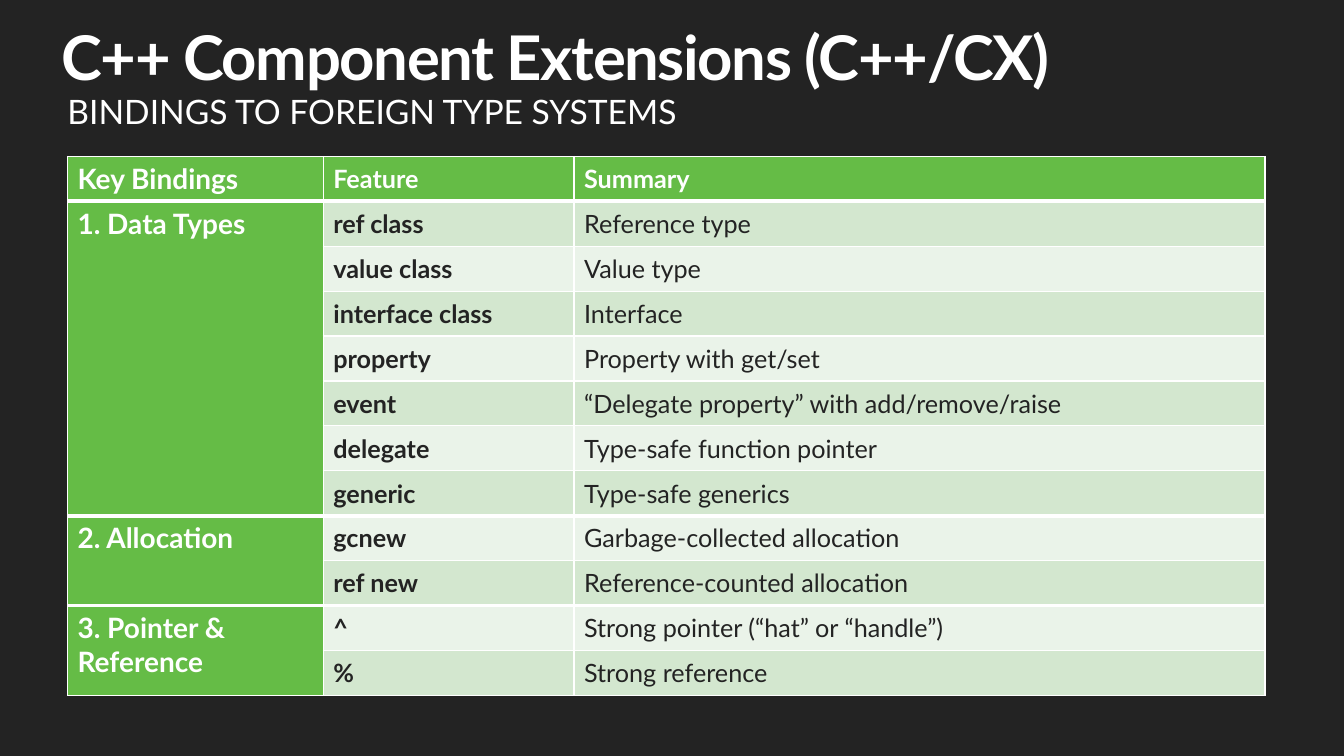
import dataclasses

import lxml.etree
import pptx
import pptx.dml.color
import pptx.enum.text
import pptx.oxml.ns
import pptx.util

Cm = pptx.util.Cm
Pt = pptx.util.Pt
ANCHOR = pptx.enum.text.MSO_ANCHOR


@dataclasses.dataclass(frozen=True)
class Theme:
    """Colours, font and type sizes of the slide."""
    font: str = "Lato"
    dark: str = "232323"
    white: str = "FFFFFF"
    green: str = "65BC46"
    bands: tuple = ("D3E7CF", "EAF3E9")
    title: int = 44
    subtitle: int = 24
    key: int = 20
    cell: int = 18
    thin: int = 1
    thick: int = 3


THEME = Theme()
HEADINGS = ("Key Bindings", "Feature", "Summary")
BINDINGS = {
    "1. Data Types": (
        ("ref class", "Reference type"),
        ("value class", "Value type"),
        ("interface class", "Interface"),
        ("property", "Property with get/set"),
        ("event", "“Delegate property” with add/remove/raise"),
        ("delegate", "Type-safe function pointer"),
        ("generic", "Type-safe generics"),
    ),
    "2. Allocation": (
        ("gcnew", "Garbage-collected allocation"),
        ("ref new", "Reference-counted allocation"),
    ),
    "3. Pointer & Reference": (
        ("^", "Strong pointer (“hat” or “handle”)"),
        ("%", "Strong reference"),
    ),
}
COLUMN_SHARES = (2.54, 2.49, 6.86)


def rgb(value):
    """Return the colour object for a hex value."""
    return pptx.dml.color.RGBColor.from_string(value)


def apply(target, values):
    """Set each attribute of the target from a dict."""
    for name, value in values.items():
        setattr(target, name, value)


def write(holder, text, size, color, bold):
    """Write one formatted run into a cell or placeholder and return it."""
    run = holder.text_frame.paragraphs[0].add_run()
    run.text = text
    apply(run.font, {"name": THEME.font, "size": Pt(size), "bold": bold})
    run.font.color.rgb = rgb(color)
    return run


def fill_heading(holder, box, text, size, bold, anchor):
    """Place a placeholder in its box with one unbulleted, left-aligned line."""
    apply(holder, dict(zip(("left", "top", "width", "height"), box)))
    apply(holder.text_frame, {
        "margin_left": 0, "margin_top": 0, "margin_right": 0, "margin_bottom": 0,
        "vertical_anchor": anchor, "word_wrap": True,
        "auto_size": pptx.enum.text.MSO_AUTO_SIZE.NONE,
    })
    run = write(holder, text, size, THEME.white, bold)
    paragraph = holder.text_frame.paragraphs[0]
    apply(paragraph, {"alignment": pptx.enum.text.PP_ALIGN.LEFT, "line_spacing": 0.9})
    properties = paragraph._p.get_or_add_pPr()
    properties.set("marL", "0")
    properties.set("indent", "0")
    lxml.etree.SubElement(properties, pptx.oxml.ns.qn("a:buNone"))
    return run


def add_headings(slide, left, top, width):
    """Place the title and the subtitle below it."""
    title, subtitle = slide.placeholders
    run = fill_heading(title, (left, top, width, Cm(1.7)),
                       "C++ Component Extensions (C++/CX)", THEME.title, True, ANCHOR.TOP)
    run._r.get_or_add_rPr().set("spc", "-100")
    fill_heading(subtitle, (left + Cm(0.15), top + Cm(1.78), width, Cm(0.84)),
                 "BINDINGS TO FOREIGN TYPE SYSTEMS", THEME.subtitle, False, ANCHOR.BOTTOM)


def style_cell(cell, fill, above, below, anchor=ANCHOR.MIDDLE):
    """Give a cell its white borders, fill and anchor."""
    properties = cell._tc.get_or_add_tcPr()
    weights = {"lnL": THEME.thin, "lnR": THEME.thin, "lnT": above, "lnB": below}
    for side, weight in weights.items():
        line = lxml.etree.SubElement(properties, pptx.oxml.ns.qn(f"a:{side}"), w=str(Pt(weight)))
        solid = lxml.etree.SubElement(line, pptx.oxml.ns.qn("a:solidFill"))
        lxml.etree.SubElement(solid, pptx.oxml.ns.qn("a:srgbClr"), val=THEME.white)
    cell.fill.solid()
    cell.fill.fore_color.rgb = rgb(fill)
    cell.vertical_anchor = anchor


def add_group(table, first, key, features):
    """Fill the rows of one key binding, starting at the given row."""
    last = first + len(features) - 1
    closing = THEME.thin if last == len(table.rows) - 1 else THEME.thick
    for row, (feature, summary) in enumerate(features, first):
        above = THEME.thick if row == first else THEME.thin
        below = closing if row == last else THEME.thin
        style_cell(table.cell(row, 0), THEME.green, above,
                   closing if row == first else below, ANCHOR.TOP)
        for column, text in enumerate((feature, summary), 1):
            cell = table.cell(row, column)
            style_cell(cell, THEME.bands[(row - 1) % 2], above, below)
            write(cell, text, THEME.cell, THEME.dark, column == 1)
    table.cell(first, 0).merge(table.cell(last, 0))
    write(table.cell(first, 0), key, THEME.key, THEME.white, True)
    return last + 1


def add_bindings_table(slide, left, top, width, height):
    """Place the table of key bindings in its box."""
    row_count = 1 + sum(map(len, BINDINGS.values()))
    table = slide.shapes.add_table(row_count, len(HEADINGS), left, top, width, height).table
    table.horz_banding = False
    for column, share in zip(table.columns, COLUMN_SHARES):
        column.width = int(width * share / sum(COLUMN_SHARES))
    for column, heading in enumerate(HEADINGS):
        cell = table.cell(0, column)
        style_cell(cell, THEME.green, THEME.thin, THEME.thick)
        write(cell, heading, THEME.cell if column else THEME.key, THEME.white, True)
    row = 1
    for key, features in BINDINGS.items():
        row = add_group(table, row, key, features)


def main():
    """Build the slide and save it."""
    deck = pptx.Presentation()
    apply(deck, {"slide_width": Cm(33.87), "slide_height": Cm(19.05)})
    slide = deck.slides.add_slide(deck.slide_layouts[1])
    slide.background.fill.solid()
    slide.background.fill.fore_color.rgb = rgb(THEME.dark)
    add_bindings_table(slide, Cm(1.7), Cm(3.94), Cm(30.18), Cm(13.59))
    add_headings(slide, Cm(1.55), Cm(0.69), Cm(30.6))
    deck.save("out.pptx")


if __name__ == "__main__":
    main()
